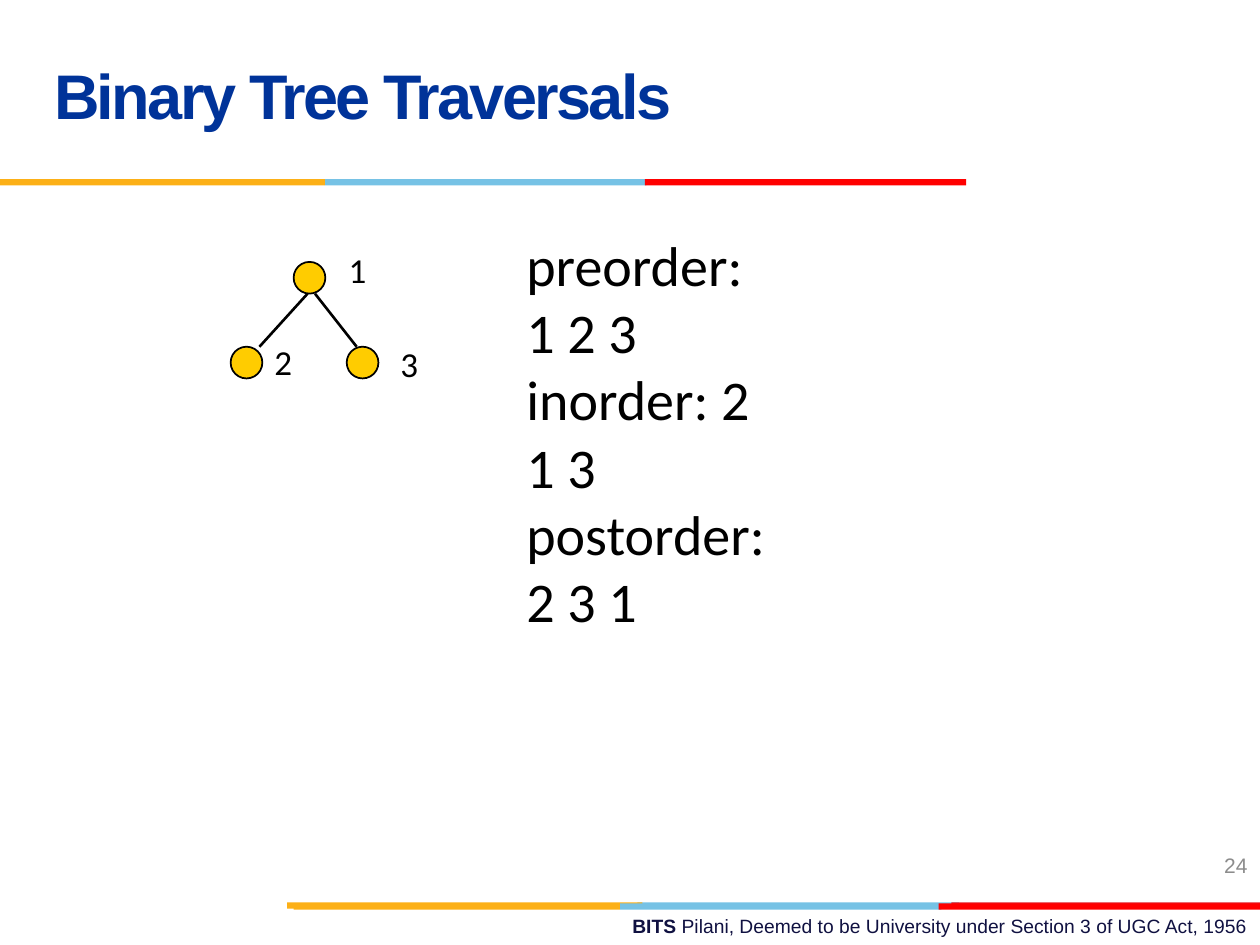
from lxml.etree import SubElement
from pptx import Presentation
from pptx.dml.color import RGBColor
from pptx.enum.shapes import MSO_CONNECTOR, MSO_SHAPE
from pptx.enum.text import MSO_ANCHOR, PP_ALIGN
from pptx.oxml.ns import qn
from pptx.util import Cm, Pt

YELLOW = RGBColor(0xFC, 0xB0, 0x17)
BLUE = RGBColor(0x76, 0xC2, 0xE5)
CRIMSON = RGBColor(0xE3, 0x1C, 0x24)
RED = RGBColor(0xFF, 0x00, 0x00)
NODE = RGBColor(0xFF, 0xCC, 0x00)
BLACK = RGBColor(0x00, 0x00, 0x00)
TITLE = RGBColor(0x00, 0x33, 0x99)
NAVY = RGBColor(0x10, 0x11, 0x41)
GREY = RGBColor(0x8C, 0x8C, 0x8C)

BAR_HEIGHT = 0.13
NODE_SIZE = 0.64


class TreeSlide:
    """Draws the elements of a tree traversal slide in one style."""

    formats = {
        "title": {"name": "Arial", "size": Pt(36), "bold": True, "color": TITLE},
        "footer": {"name": "Arial", "size": Pt(11), "bold": False, "color": NAVY},
        "brand": {"name": "Arial", "size": Pt(11), "bold": True, "color": NAVY},
        "number": {"name": "Arial", "size": Pt(12), "color": GREY},
        "body": {"name": "Calibri", "size": Pt(32), "color": BLACK},
        "label": {"name": "Calibri", "size": Pt(20), "color": BLACK},
    }

    def __init__(self, presentation):
        self.slide = presentation.slides.add_slide(presentation.slide_layouts[6])

    def shape(self, kind, left, top, width, height, color):
        shape = self.slide.shapes.add_shape(kind, Cm(left), Cm(top), Cm(width), Cm(height))
        shape.shadow.inherit = False
        shape.fill.solid()
        shape.fill.fore_color.rgb = color
        return shape

    def bars(self, top, segments):
        for left, width, color in segments:
            bar = self.shape(MSO_SHAPE.RECTANGLE, left, top, width, BAR_HEIGHT, color)
            bar.line.fill.background()

    def node(self, left, top):
        circle = self.shape(MSO_SHAPE.OVAL, left, top, NODE_SIZE, NODE_SIZE, NODE)
        circle.line.color.rgb = BLACK
        circle.line.width = Pt(1)

    def edge(self, *ends):
        connector = self.slide.shapes.add_connector(
            MSO_CONNECTOR.STRAIGHT, *[Cm(value) for value in ends])
        connector.line.color.rgb = BLACK
        connector.line.width = Pt(1.5)
        SubElement(connector._element.spPr, qn("a:effectLst"))

    def text(self, box, lines, anchor=MSO_ANCHOR.TOP, **paragraph_format):
        text_box = self.slide.shapes.add_textbox(*[Cm(value) for value in box])
        frame = text_box.text_frame
        frame.word_wrap = True
        frame.vertical_anchor = anchor
        for index, line in enumerate(lines):
            paragraph = frame.add_paragraph() if index else frame.paragraphs[0]
            for name, value in paragraph_format.items():
                setattr(paragraph, name, value)
            for words, style in line:
                run = paragraph.add_run()
                run.text = words
                for name, value in self.formats[style].items():
                    if name == "color":
                        run.font.color.rgb = value
                    else:
                        setattr(run.font, name, value)
        return frame

    def title(self, box, words):
        frame = self.text(box, [[(words, "title")]], MSO_ANCHOR.MIDDLE, line_spacing=Pt(36))
        frame.paragraphs[0].runs[0].font._element.set("spc", "-150")


def main():
    presentation = Presentation()
    presentation.slide_width, presentation.slide_height = Cm(25.4), Cm(19.05)
    page = TreeSlide(presentation)

    page.text((9.09, 18.31, 16.31, 0.74),
              [[("BITS ", "brand"),
                ("Pilani, Deemed to be University under Section 3 of UGC Act, 1956", "footer")]],
              alignment=PP_ALIGN.RIGHT)
    page.bars(18.19, [(12.85, 6.48, BLUE), (19.18, 6.22, CRIMSON), (5.79, 7.16, YELLOW)])
    page.bars(18.21, [(12.5, 6.48, BLUE), (5.92, 6.58, YELLOW), (18.92, 6.48, RED)])
    page.bars(3.61, [(6.55, 6.48, BLUE), (0, 6.55, YELLOW), (13, 6.48, RED)])

    page.title((0.84, 0.43, 17.58, 3.18), "Binary Tree Traversals")
    page.text((19.48, 16.93, 5.92, 1.02), [[("24", "number")]],
              MSO_ANCHOR.MIDDLE, alignment=PP_ALIGN.RIGHT)
    orders = {"preorder": "1 2 3", "inorder": "2 1 3", "postorder": "2 3 1"}
    page.text((10.36, 4.52, 5.54, 8.4),
              [[(f"{order}: {visits}", "body")] for order, visits in orders.items()])

    for ends in [(6.2, 5.92, 5.23, 6.99), (6.35, 5.92, 7.19, 6.99)]:
        page.edge(*ends)
    for left, top in [(5.92, 5.28), (4.65, 6.99), (6.99, 6.99)]:
        page.node(left, top)
    for words, left, top in [("1", 6.78, 4.88), ("2", 5.28, 6.73), ("3", 7.82, 6.78)]:
        page.text((left, top, 0.9, 1.1), [[(words, "label")]])

    presentation.save("out.pptx")


if __name__ == "__main__":
    main()
